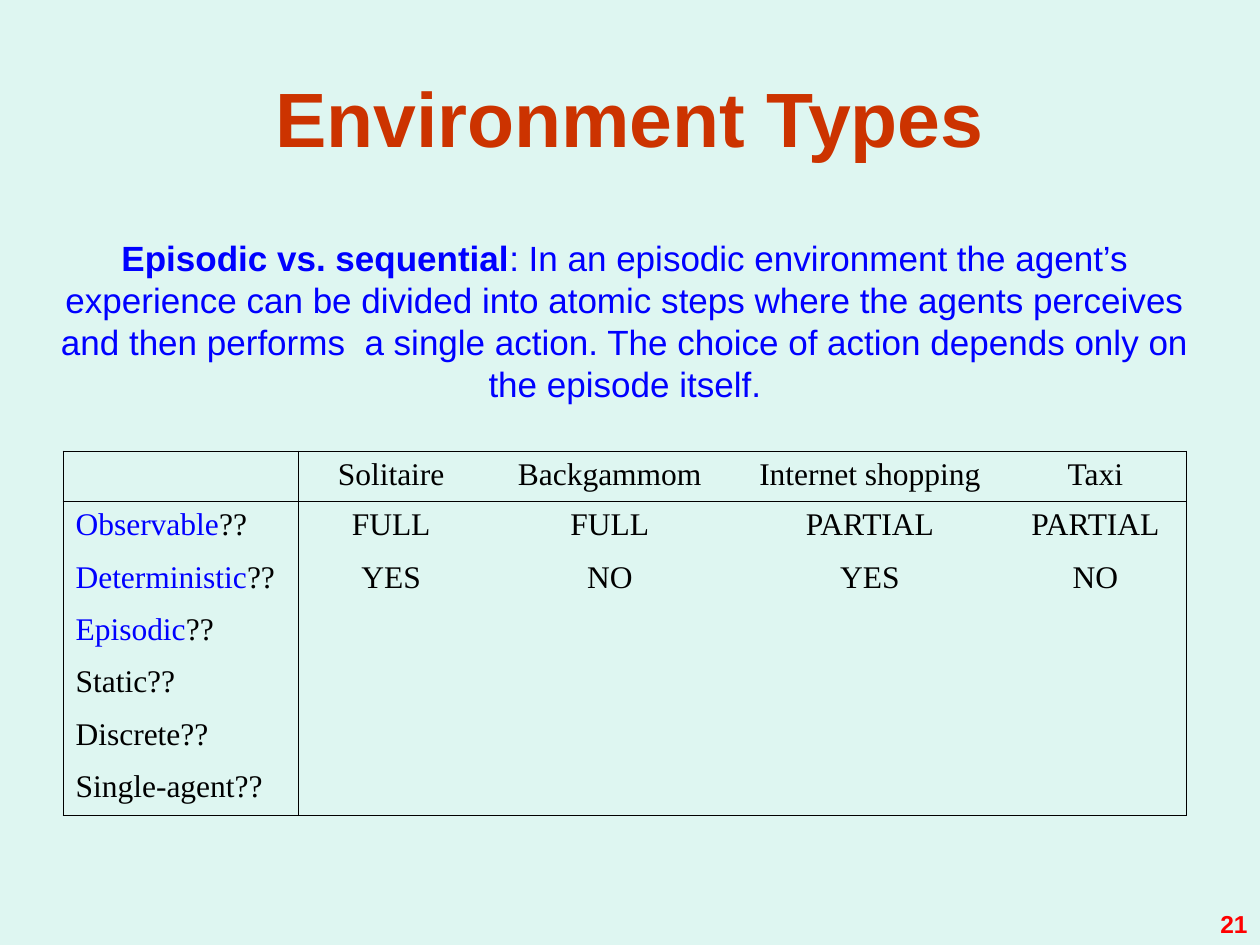
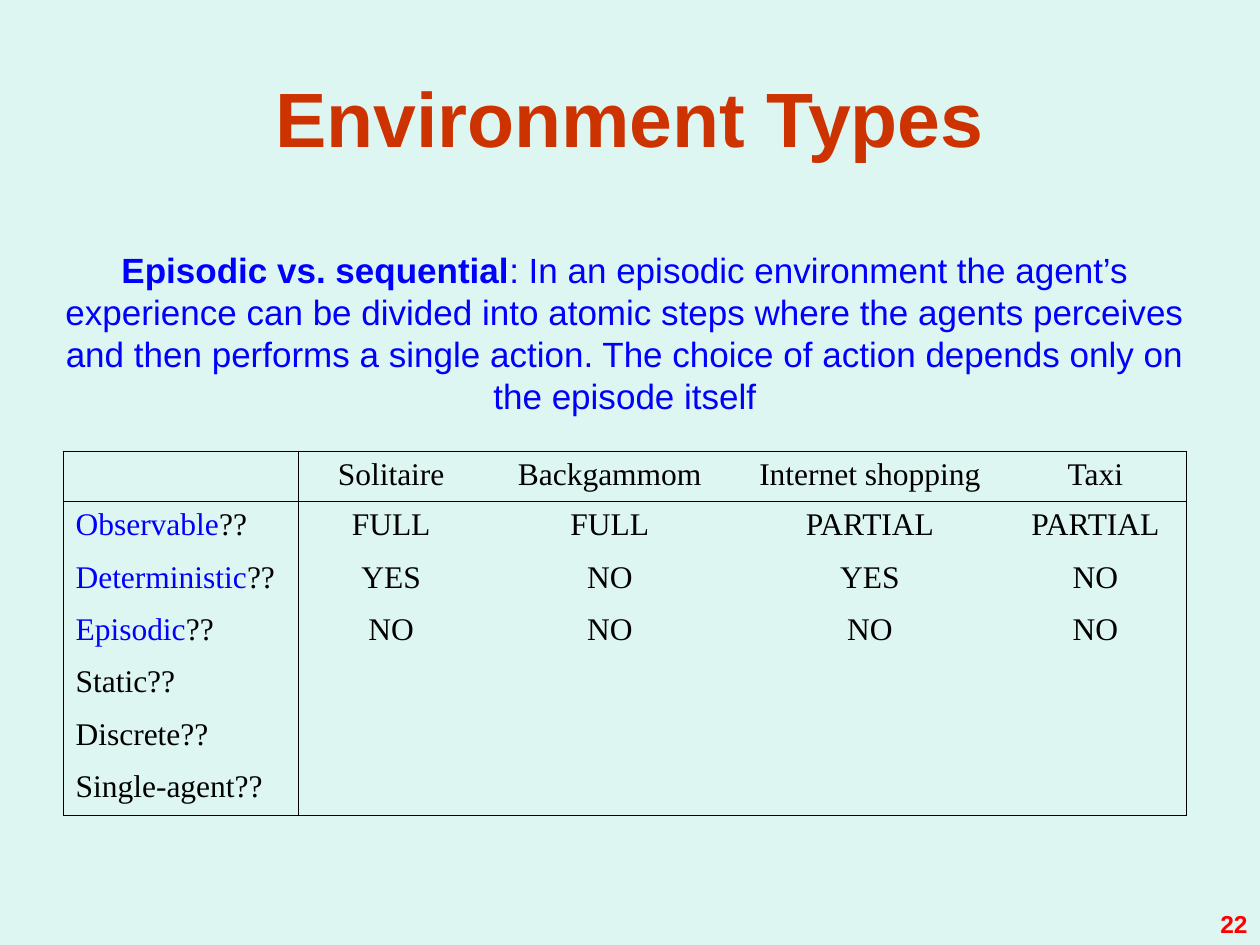
import pptx
import pptx.dml.color
import pptx.enum.text
import pptx.oxml.ns
import pptx.util
from lxml import etree

COLORS = {
    "background": "DEF6F1",
    "title": "CC3300",
    "accent": "0000FF",
    "text": "000000",
    "page_number": "FF0000",
}
SANS, SERIF = "Arial", "Times New Roman"
ALIGN = pptx.enum.text.PP_ALIGN
ANCHOR = pptx.enum.text.MSO_ANCHOR
UNIT = pptx.util.Inches(0.1)  # the grid has 100 columns and 75 rows

COLUMN_WIDTHS = [18.7, 14.7, 20, 21.3, 14.5]
ROW_HEIGHTS = [4] + [4.15] * 6
TABLE_LEFT, TABLE_TOP = 5, 35.8
TABLE_CENTER = TABLE_LEFT + sum(COLUMN_WIDTHS) / 2
BORDER_POINTS = 0.45

ENVIRONMENTS = ["Solitaire", "Backgammom", "Internet shopping", "Taxi"]
PROPERTIES = ["Observable", "Deterministic", "Episodic",
              "Static", "Discrete", "Single-agent"]
EXPLAINED = PROPERTIES[:3]
ANSWERS = {
    "Observable": ["FULL", "FULL", "PARTIAL", "PARTIAL"],
    "Deterministic": ["YES", "NO", "YES", "NO"],
}
EPISODIC_ANSWERS = {"Episodic": ["NO"] * 4}

TERM = "Episodic vs. sequential"
DEFINITION = (": In an episodic environment the agent’s experience can be "
              "divided into atomic steps where the agents perceives and then "
              "{action}. The choice of action depends only on "
              "the episode itself{end}")


def grid(*lengths):
    return [round(length * UNIT) for length in lengths]


def rgb(name):
    return pptx.dml.color.RGBColor.from_string(COLORS[name])


class SlideBuilder:
    def __init__(self):
        self.deck = pptx.Presentation()
        self.deck.slide_width, self.deck.slide_height = grid(100, 75)
        fill = self.deck.slide_master.background.fill
        fill.solid()
        fill.fore_color.rgb = rgb("background")
        self.page = None

    def style(self, para, size, font, color, align, bold=False):
        para.alignment = align
        para.font.size = pptx.util.Pt(size)
        para.font.name = font
        para.font.bold = bold
        para.font.color.rgb = rgb(color)

    def new_page(self, title):
        self.page = self.deck.slides.add_slide(self.deck.slide_layouts[5])
        box = self.page.shapes.title
        box.left, box.top, box.width, box.height = grid(5, 3, 90, 12.5)
        frame = box.text_frame
        frame.text = title
        frame.vertical_anchor = ANCHOR.MIDDLE
        self.style(frame.paragraphs[0], 44, SANS, "title", ALIGN.CENTER, True)

    def text_box(self, left, top, width, height, margin=1):
        box = self.page.shapes.add_textbox(*grid(left, top, width, height))
        frame = box.text_frame
        frame.word_wrap = True
        frame.margin_left = frame.margin_right = grid(margin)[0]
        return frame

    def statement(self, term, definition, top, width):
        frame = self.text_box(TABLE_CENTER - width / 2, top, width, 14.4, 0)
        para = frame.paragraphs[0]
        self.style(para, 20, SANS, "accent", ALIGN.CENTER)
        span = para.add_run()
        span.text = term
        span.font.bold = True
        para.add_run().text = definition

    def page_number(self, number):
        frame = self.text_box(76.7, 69.8, 23.3, 5.2)
        frame.vertical_anchor = ANCHOR.BOTTOM
        para = frame.paragraphs[0]
        para.text = str(number)
        self.style(para, 14, SANS, "page_number", ALIGN.RIGHT, True)

    def borders(self, cell, sides):
        """Draw the named sides (from L, R, T, B) and clear the others."""
        properties = cell._tc.get_or_add_tcPr()
        qn = pptx.oxml.ns.qn
        for side in "LRTB":
            line = etree.SubElement(properties, qn(f"a:ln{side}"))
            line.set("w", str(pptx.util.Pt(BORDER_POINTS)))
            if side in sides:
                fill = etree.SubElement(line, qn("a:solidFill"))
                etree.SubElement(fill, qn("a:srgbClr")).set("val", COLORS["text"])
            else:
                etree.SubElement(line, qn("a:noFill"))

    def cell(self, cell, spans, align, sides):
        self.borders(cell, sides)
        cell.fill.background()
        para = cell.text_frame.paragraphs[0]
        self.style(para, 18, SERIF, "text", align)
        for text, color in spans:
            span = para.add_run()
            span.text = text
            if color != "text":
                span.font.color.rgb = rgb(color)

    def property_table(self, answers):
        row_count, column_count = len(ROW_HEIGHTS), len(COLUMN_WIDTHS)
        table = self.page.shapes.add_table(
            row_count, column_count,
            *grid(TABLE_LEFT, TABLE_TOP, sum(COLUMN_WIDTHS), sum(ROW_HEIGHTS))).table
        table.first_row = table.horz_banding = False
        for column, width in zip(table.columns, grid(*COLUMN_WIDTHS)):
            column.width = width
        for row, height in zip(table.rows, grid(*ROW_HEIGHTS)):
            row.height = height

        # Header row, then one row for each property
        rows = [[[]] + [[(name, "text")] for name in ENVIRONMENTS]]
        for name in PROPERTIES:
            if name in EXPLAINED:
                label = [(name, "accent"), ("??", "text")]
            else:
                label = [(name + "??", "text")]
            values = answers.get(name)
            rows.append([label] + ([[(value, "text")] for value in values]
                                   if values else [[]] * len(ENVIRONMENTS)))

        # Frame, plus a rule under the header and one beside the labels
        for r, row in enumerate(rows):
            for c, spans in enumerate(row):
                sides = (("L" if c <= 1 else "")
                         + ("R" if c in (0, column_count - 1) else "")
                         + ("T" if r <= 1 else "")
                         + ("B" if r in (0, row_count - 1) else ""))
                align = ALIGN.CENTER if c else ALIGN.LEFT
                self.cell(table.cell(r, c), spans, align, sides)


def main():
    builder = SlideBuilder()
    pages = [
        # number, definition, top, width, answers
        (21, DEFINITION.format(action="performs  a single action", end="."),
         18.3, 90.8, ANSWERS),
        (22, DEFINITION.format(action="performs a single action", end=""),
         19.2, 89.2, ANSWERS | EPISODIC_ANSWERS),
    ]
    for number, definition, top, width, answers in pages:
        builder.new_page("Environment Types")
        builder.property_table(answers)
        builder.statement(TERM, definition, top, width)
        builder.page_number(number)
    builder.deck.save("out.pptx")


if __name__ == "__main__":
    main()
